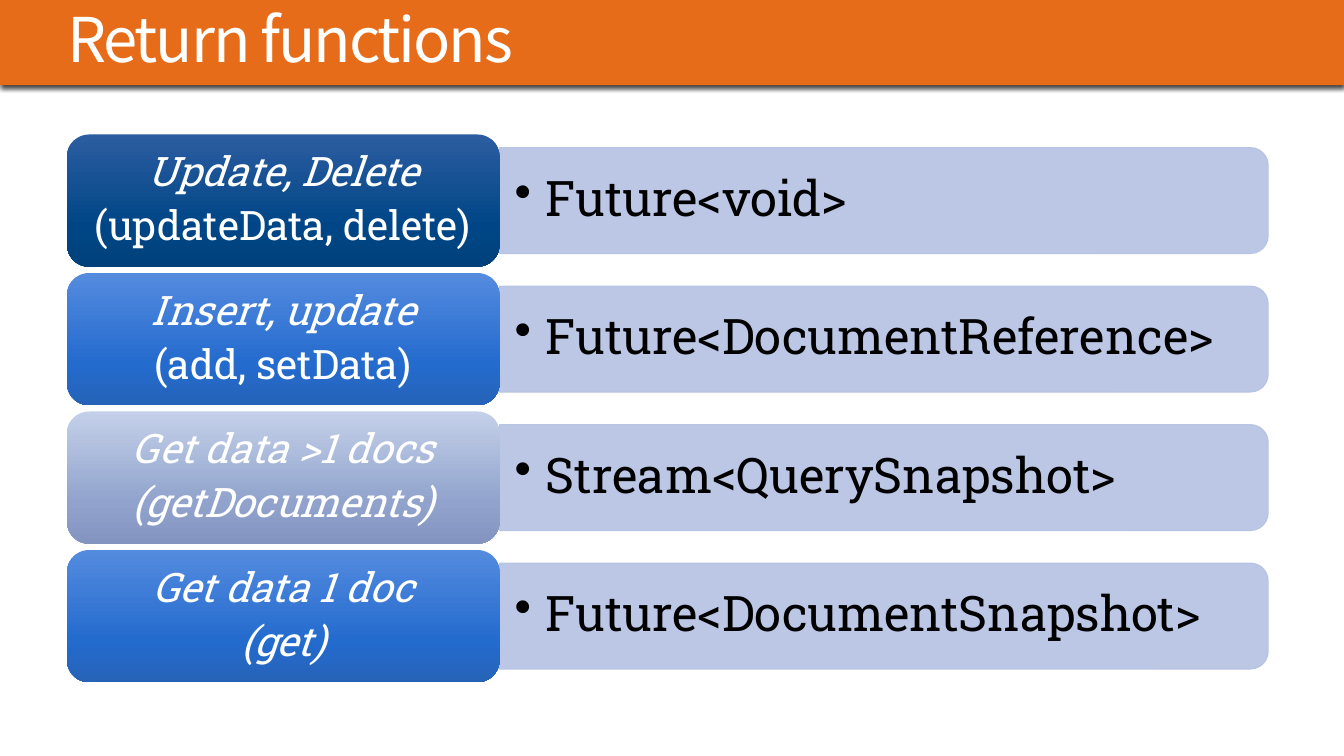
from lxml import etree
from pptx import Presentation
from pptx.dml.color import RGBColor
from pptx.enum.shapes import MSO_SHAPE
from pptx.enum.text import MSO_ANCHOR, PP_ALIGN
from pptx.oxml.ns import qn
from pptx.util import Cm, Pt

RECTANGLE = MSO_SHAPE.RECTANGLE
ROUNDED = MSO_SHAPE.ROUNDED_RECTANGLE
ROUNDED_ONE_SIDE = MSO_SHAPE.ROUND_2_SAME_RECTANGLE
MIDDLE = MSO_ANCHOR.MIDDLE
CENTER = PP_ALIGN.CENTER
LEFT = PP_ALIGN.LEFT

TITLE_FONT = "Noto Sans CJK JP"
BODY_FONT = "Roboto Slab"
ORANGE, WHITE, BLACK, PALE_BLUE = "E76C19", "FFFFFF", "000000", "B4C2E2"
NAVY = ("2C5DA1", "004686", "00417B")
BLUE = ("548BDF", "246BCE", "2663B8")
GREY_BLUE = ("C4D0E9", "91A3CD", "8294BF")
GRADIENT_STOPS = (0, 69, 100)

# operation, methods, whether the methods are italic, result, gradient
ROWS = [
    ("Update, Delete", "(updateData, delete)", False, "Future<void>", NAVY),
    ("Insert, update", "(add, setData)", False, "Future<DocumentReference>", BLUE),
    ("Get data >1 docs", "(getDocuments)", True, "Stream<QuerySnapshot>", GREY_BLUE),
    ("Get data 1 doc", "(get)", True, "Future<DocumentSnapshot>", BLUE),
]
FIRST_TOP, ROW_PITCH = 3.39, 3.49
LABEL_LEFT, LABEL_WIDTH, LABEL_HEIGHT = 1.69, 10.9, 3.33
PANEL_LEFT, PANEL_WIDTH, PANEL_HEIGHT = LABEL_LEFT + LABEL_WIDTH, 19.37, 2.67


def color(value):
    return RGBColor.from_string(value)


def add_child(parent, tag, **attributes):
    return etree.SubElement(parent, qn(tag), attributes)


def add_color(parent, value, alpha=None):
    node = add_child(parent, "a:srgbClr", val=value)
    if alpha is not None:
        add_child(node, "a:alpha", val=str(alpha * 1000))


def add_block(slide, kind, left, top, width, height):
    """Add a preset shape, in centimetres, without line or shadow."""
    block = slide.shapes.add_shape(kind, Cm(left), Cm(top), Cm(width), Cm(height))
    block.shadow.inherit = False
    block.line.fill.background()
    return block


def fill_gradient(shape, colors):
    shape.fill.gradient()
    shape.fill.gradient_angle = 270
    stops = shape._element.spPr.find(qn("a:gradFill")).find(qn("a:gsLst"))
    for stop in list(stops):
        stops.remove(stop)
    for position, value in zip(GRADIENT_STOPS, colors):
        add_color(add_child(stops, "a:gs", pos=str(position * 1000)), value)


def set_margins(frame, horizontal, vertical):
    frame.margin_left = frame.margin_right = Cm(horizontal)
    frame.margin_top = frame.margin_bottom = Cm(vertical)
    frame.word_wrap = True
    frame.vertical_anchor = MIDDLE


def format_para(para, font_name, size, value, alignment, spacing, italic=False):
    para.alignment = alignment
    para.line_spacing = spacing
    for span in para.runs:
        span.font.name = font_name
        span.font.size = Pt(size)
        span.font.italic = italic
        span.font.color.rgb = color(value)


def add_banner(slide):
    banner = add_block(slide, RECTANGLE, 0, 0, 33.87, 2.15)
    banner.fill.solid()
    banner.fill.fore_color.rgb = color(ORANGE)
    effects = banner._element.spPr.find(qn("a:effectLst"))
    shadow = add_child(effects, "a:outerShdw", blurRad=str(Pt(3)), dist=str(Pt(2)),
                       dir="5400000", algn="t", rotWithShape="0")
    add_color(shadow, BLACK, 75)
    # The banner lies behind the title placeholder.
    banner._element.getparent().insert(2, banner._element)


def set_title(slide, text):
    title = slide.shapes.title
    title.left, title.top, title.width, title.height = Cm(1.69), Cm(0.4), Cm(30.48), Cm(1.4)
    frame = title.text_frame
    frame.text = text
    set_margins(frame, 0, 0)
    para = frame.paragraphs[0]
    format_para(para, TITLE_FONT, 44, WHITE, LEFT, 0.85)
    para.runs[0].font._element.set("spc", "-150")


def add_panel(slide, middle):
    """Add the pale panel, turned so that its round corners are on the right."""
    left = PANEL_LEFT + (PANEL_WIDTH - PANEL_HEIGHT) / 2
    panel = add_block(slide, ROUNDED_ONE_SIDE, left, middle - PANEL_WIDTH / 2,
                      PANEL_HEIGHT, PANEL_WIDTH)
    panel.rotation = 90
    panel.fill.solid()
    panel.fill.fore_color.rgb = color(PALE_BLUE)
    panel.line.color.rgb = color(PALE_BLUE)
    panel.line.width = Pt(0.75)
    for node in panel._element.spPr.iter(qn("a:srgbClr")):
        add_child(node, "a:alpha", val="90000")


def add_result(slide, middle, text):
    height = 2.39
    box = slide.shapes.add_textbox(Cm(PANEL_LEFT), Cm(middle - height / 2),
                                   Cm(19.25), Cm(height))
    frame = box.text_frame
    frame.text = text
    set_margins(frame, 0.38, 0.18)
    para = frame.paragraphs[0]
    format_para(para, BODY_FONT, 35, BLACK, LEFT, 0.9)
    properties = para._p.get_or_add_pPr()
    properties.set("marL", str(Cm(0.79)))
    properties.set("indent", str(Cm(-0.79)))
    add_child(properties, "a:buChar", char="•")


def add_label(slide, top, operation, methods, methods_italic, colors):
    label = add_block(slide, ROUNDED, LABEL_LEFT, top, LABEL_WIDTH, LABEL_HEIGHT)
    fill_gradient(label, colors)
    frame = label.text_frame
    frame.text = f"{operation}\n{methods}"
    set_margins(frame, 0.3, 0.16)
    for para, italic in zip(frame.paragraphs, (True, methods_italic)):
        format_para(para, BODY_FONT, 29, WHITE, CENTER, 0.9, italic)
        para.space_after = Pt(7)


def main():
    deck = Presentation()
    deck.slide_width, deck.slide_height = Cm(33.87), Cm(19.05)
    slide = deck.slides.add_slide(deck.slide_layouts[5])
    add_banner(slide)
    set_title(slide, "Return functions")
    for index, (operation, methods, italic, result, colors) in enumerate(ROWS):
        top = FIRST_TOP + index * ROW_PITCH
        middle = top + LABEL_HEIGHT / 2
        add_panel(slide, middle)
        add_result(slide, middle, result)
        add_label(slide, top, operation, methods, italic, colors)
    deck.save("out.pptx")


if __name__ == "__main__":
    main()
